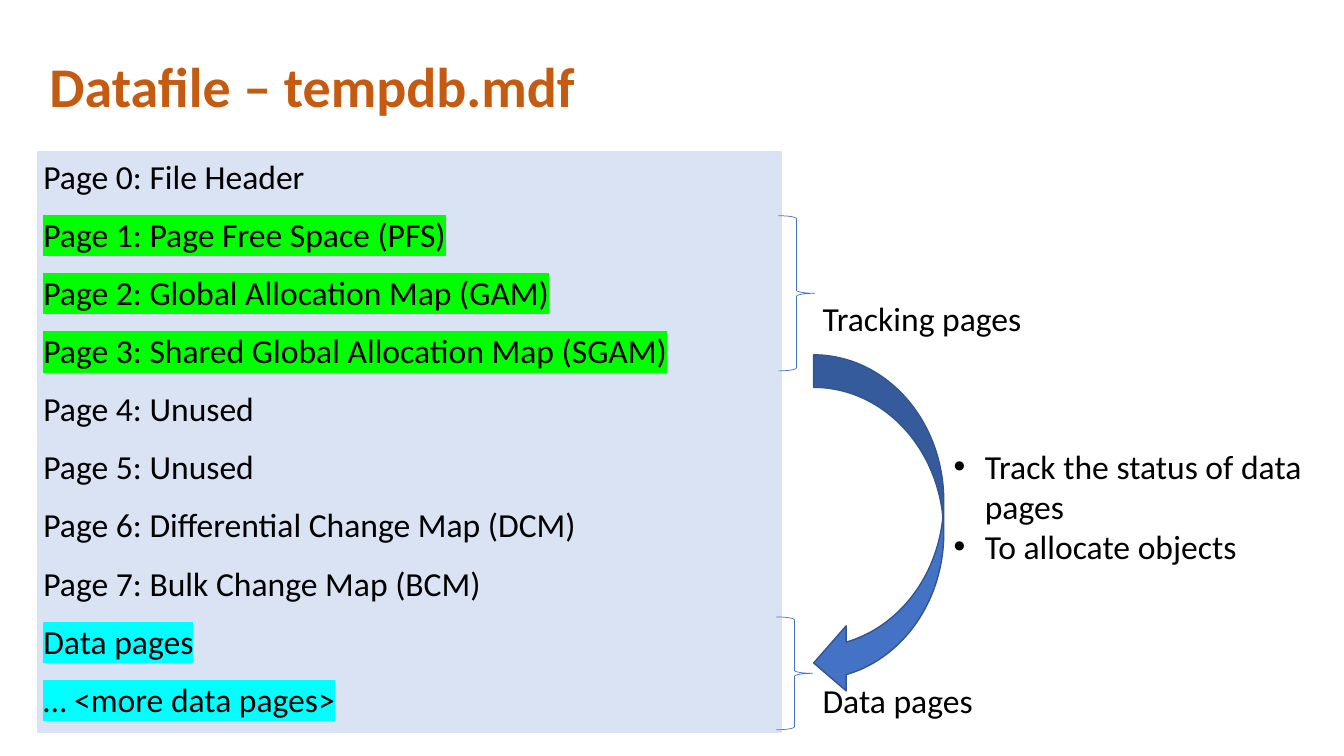
"""Build a slide that explains the page layout of the tempdb data file."""
from dataclasses import dataclass

from lxml import etree
from pptx import Presentation
from pptx.dml.color import RGBColor
from pptx.enum.shapes import MSO_SHAPE
from pptx.enum.text import MSO_ANCHOR, PP_ALIGN
from pptx.oxml.ns import qn
from pptx.util import Inches, Pt

LEFT = PP_ALIGN.LEFT
MIDDLE = MSO_ANCHOR.MIDDLE
TOP = MSO_ANCHOR.TOP
BRACE = MSO_SHAPE.RIGHT_BRACE
CURVED_ARROW = MSO_SHAPE.CURVED_LEFT_ARROW
TITLE_ONLY = 5


@dataclass(frozen=True)
class Theme:
    font: str = "Calibri"
    title_size: int = 40
    body_size: int = 24
    title: str = "C55A11"
    text: str = "000000"
    table: str = "DAE3F3"
    blue: str = "4472C4"
    outline: str = "325491"
    tracking: str = "00FF00"
    data: str = "00FFFF"


theme = Theme()


def write(paragraph, text, size=theme.body_size, color=theme.text, bold=False,
          highlight=None, bullet=False):
    paragraph.alignment = LEFT
    run = paragraph.add_run()
    run.text = text
    run.font.size = Pt(size)
    run.font.bold = bold
    run.font.color.rgb = RGBColor.from_string(color)
    if highlight:
        mark = etree.Element(qn("a:highlight"))
        etree.SubElement(mark, qn("a:srgbClr"), val=highlight)
        run.font._element.find(qn("a:solidFill")).addnext(mark)
    run.font.name = theme.font
    if bullet:
        properties = paragraph._p.get_or_add_pPr()
        properties.set("marL", str(Inches(0.31)))
        properties.set("indent", str(Inches(-0.31)))
        etree.SubElement(properties, qn("a:buFont"), typeface="Arial")
        etree.SubElement(properties, qn("a:buChar"), char="•")


presentation = Presentation()
presentation.slide_width = Inches(13.33)
presentation.slide_height = Inches(7.5)
slide = presentation.slides.add_slide(presentation.slide_layouts[TITLE_ONLY])

title = slide.shapes.title
title.left, title.top = Inches(0.14), Inches(0.16)
title.width, title.height = Inches(11.5), Inches(1.45)
title.text_frame.vertical_anchor = MIDDLE
title.text_frame.margin_left = Inches(0.35)
title_paragraph = title.text_frame.paragraphs[0]
title_paragraph.line_spacing = 0.9
write(title_paragraph, "Datafile – tempdb.mdf", size=theme.title_size,
      color=theme.title, bold=True)

pages = [
    ("Page 0: File Header", None),
    ("Page 1: Page Free Space (PFS)", theme.tracking),
    ("Page 2: Global Allocation Map (GAM)", theme.tracking),
    ("Page 3: Shared Global Allocation Map (SGAM)", theme.tracking),
    ("Page 4: Unused", None),
    ("Page 5: Unused", None),
    ("Page 6: Differential Change Map (DCM)", None),
    ("Page 7: Bulk Change Map (BCM)", None),
    ("Data pages", theme.data),
    ("… <more data pages>", theme.data),
]
table = slide.shapes.add_table(len(pages), 1, Inches(0.37), Inches(1.5),
                               Inches(7.39), Inches(5.7)).table
table.first_row = False
table.horz_banding = False
for row, (page, highlight) in enumerate(pages):
    table.rows[row].height = Inches(0.57)
    cell = table.cell(row, 0)
    cell.margin_left = cell.margin_right = cell.margin_top = Inches(0.06)
    cell.margin_bottom = Inches(0.11)
    cell.vertical_anchor = TOP
    cell.fill.solid()
    cell.fill.fore_color.rgb = RGBColor.from_string(theme.table)
    for position, side in enumerate(("lnL", "lnR", "lnT", "lnB")):
        border = etree.Element(qn(f"a:{side}"), w="0")
        etree.SubElement(border, qn("a:noFill"))
        cell._tc.get_or_add_tcPr().insert(position, border)
    write(cell.text_frame.paragraphs[0], page, highlight=highlight)

shapes = [
    (CURVED_ARROW, 8.07, 3.52, 1.29, 3.38, theme.blue, theme.outline, 1),
    (BRACE, 7.72, 2.14, 0.36, 1.54, None, theme.blue, 0.5),
    (BRACE, 7.7, 6.12, 0.36, 1.12, None, theme.blue, 0.5),
]
for kind, left, top, width, height, fill, line, weight in shapes:
    shape = slide.shapes.add_shape(kind, Inches(left), Inches(top),
                                   Inches(width), Inches(height))
    shape.shadow.inherit = False
    if fill:
        shape.fill.solid()
        shape.fill.fore_color.rgb = RGBColor.from_string(fill)
    else:
        shape.fill.background()
    shape.line.color.rgb = RGBColor.from_string(line)
    shape.line.width = Pt(weight)

labels = [
    (8.06, 2.91, 2.18, 0.5, ["Tracking pages"]),
    (8.06, 6.7, 2.18, 0.5, ["Data pages"]),
    (9.36, 4.37, 3.85, 1.31, ["Track the status of data pages", "To allocate objects"]),
]
for left, top, width, height, lines in labels:
    frame = slide.shapes.add_textbox(Inches(left), Inches(top),
                                     Inches(width), Inches(height)).text_frame
    frame.word_wrap = True
    for index, text in enumerate(lines):
        paragraph = frame.add_paragraph() if index else frame.paragraphs[0]
        write(paragraph, text, bullet=len(lines) > 1)

presentation.save("out.pptx")
